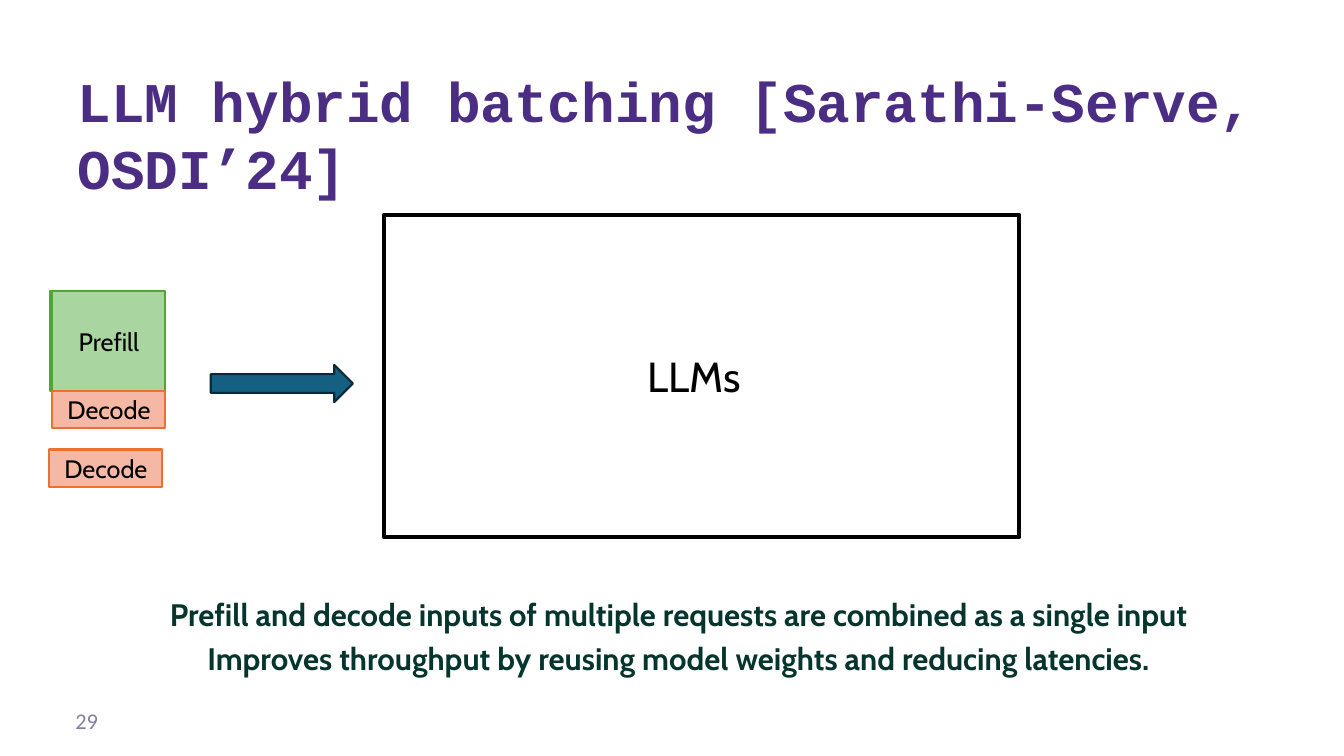
from pptx import Presentation
from pptx.dml.color import RGBColor
from pptx.enum.shapes import MSO_SHAPE
from pptx.enum.text import MSO_ANCHOR, PP_ALIGN
from pptx.util import Inches, Pt

RECT, ARROW = MSO_SHAPE.RECTANGLE, MSO_SHAPE.RIGHT_ARROW
TOP, MIDDLE, BOTTOM = MSO_ANCHOR.TOP, MSO_ANCHOR.MIDDLE, MSO_ANCHOR.BOTTOM
LEFT, CENTER = PP_ALIGN.LEFT, PP_ALIGN.CENTER

# Content
TITLE = "LLM hybrid batching [Sarathi-Serve, OSDI’24]"
MODEL = "LLMs"
TAKEAWAYS = [
    "Prefill and decode inputs of multiple requests are combined as a single input",
    "Improves throughput by reusing model weights and reducing latencies.",
]
PAGE_NUMBER = "29"

COLORS = {
    "title": "4B2E83", "number": "867EA3", "takeaway": "06352E",
    "black": "000000", "white": "FFFFFF",
    "prefill": "A8D5A0", "prefill line": "4EA72E",
    "decode": "F5B8A5", "decode line": "E97132",
    "arrow": "156082", "arrow line": "092A39",
}

# Request blocks: width, and height for each phase
BLOCK_WIDTH = 1.12
BLOCK_HEIGHT = {"Prefill": 0.99, "Decode": 0.37}
BLOCK_TOP = 2.89
SINGLE_BLOCKS = [("Prefill", 0.5, BLOCK_TOP), ("Decode", 0.49, 4.46)]
HYBRID_BATCH, HYBRID_LEFT = ["Prefill", "Decode"], 0.52


def color(name):
    return RGBColor.from_string(COLORS[name])


def write(shape, lines, size, font, ink, align=LEFT, anchor=MIDDLE, bold=False):
    frame = shape.text_frame
    frame.word_wrap = True
    frame.vertical_anchor = anchor
    frame.text = "\n".join(lines)
    for para in frame.paragraphs:
        para.alignment = align
        for span in para.runs:
            span.font.size, span.font.name, span.font.bold = Pt(size), font, bold
            span.font.color.rgb = color(ink)
    return frame


def add_text(place, *args, **options):
    box = page.shapes.add_textbox(*map(Inches, place))
    return write(box, *args, **options)


def add_figure(shapes, kind, place, fill, line, width=1.5):
    figure = shapes.add_shape(kind, *map(Inches, place))
    figure.shadow.inherit = False
    figure.fill.solid()
    figure.fill.fore_color.rgb = color(fill)
    figure.line.color.rgb = color(line)
    figure.line.width = Pt(width)
    return figure


def add_block(shapes, phase, left, top):
    place = (left, top, BLOCK_WIDTH, BLOCK_HEIGHT[phase])
    name = phase.lower()
    block = add_figure(shapes, RECT, place, name, name + " line")
    write(block, [phase], 18, "Cabin", "black", CENTER)


deck = Presentation()
deck.slide_width, deck.slide_height = Inches(13.33), Inches(7.5)
page = deck.slides.add_slide(deck.slide_layouts[6])

# Title, page number and takeaways
title = add_text((0.67, 0.54, 11.92, 1.45), [TITLE], 40, "Courier New", "title",
                 anchor=BOTTOM, bold=True)
title.margin_bottom = 0
add_text((0.65, 6.95, 3, 0.4), [PAGE_NUMBER], 16, "Calibri", "number")
takeaways = add_text((0.77, 5.91, 11.92, 0.87), TAKEAWAYS, 22.2, "Cabin",
                     "takeaway", CENTER, bold=True)
for index, para in enumerate(takeaways.paragraphs):
    para.line_spacing = 0.8
    para.space_before = Pt(10 if index else 0)

# Single request blocks
for phase, left, top in SINGLE_BLOCKS:
    add_block(page.shapes, phase, left, top)

# Hybrid batch: blocks stacked in one group
batch = page.shapes.add_group_shape()
top = BLOCK_TOP
for phase in HYBRID_BATCH:
    add_block(batch.shapes, phase, HYBRID_LEFT, top)
    top += BLOCK_HEIGHT[phase]

# Model box and input arrow
add_figure(page.shapes, RECT, (3.81, 2.13, 6.3, 3.2), "white", "black", 3)
add_text((6.32, 3.43, 1.29, 0.61), [MODEL], 30, "Cabin", "black", anchor=TOP)
add_figure(page.shapes, ARROW, (2.09, 3.62, 1.41, 0.37), "arrow", "arrow line")

deck.save("out.pptx")
